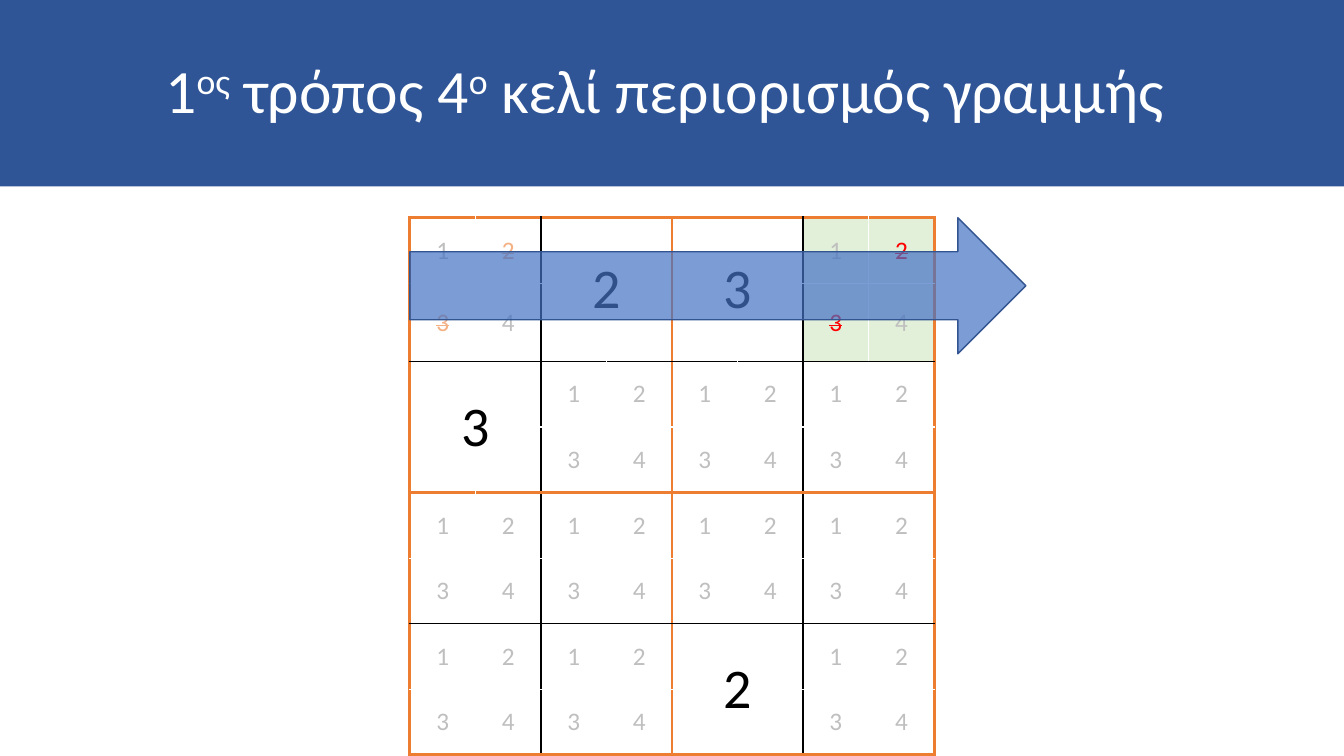
from dataclasses import dataclass

from lxml import etree
from pptx import Presentation
from pptx import util as u
from pptx.dml.color import RGBColor
from pptx.enum import shapes, text
from pptx.oxml import ns


@dataclass
class Theme:
    font: str = "Calibri"
    title_size: float = 44
    solved_size: float = 40
    candidate_size: float = 18
    banner: str = "2F5597"
    white: str = "FFFFFF"
    black: str = "000000"
    box: str = "ED7D31"
    candidate: str = "BFBFBF"
    struck_before: str = "F4B183"
    struck_now: str = "FF0000"
    target: str = "E2F0D9"
    arrow: str = "4472C4"
    arrow_line: str = "325491"


def style_run(run, size, color, **attributes):
    run.font.name = theme.font
    run.font.size = u.Pt(size)
    run.font.color.rgb = RGBColor.from_string(color)
    for name, value in attributes.items():
        run.font._element.set(name, value)


def add_border(cell, side, edge):
    if edge % 4 == 0:
        color, width = theme.box, 2.25
    else:
        color, width = (theme.white if edge % 2 else theme.black), 1
    line = etree.SubElement(cell._tc.get_or_add_tcPr(), ns.qn(f"a:ln{side}"), w=str(u.Pt(width)))
    fill = etree.SubElement(line, ns.qn("a:solidFill"))
    etree.SubElement(fill, ns.qn("a:srgbClr"), val=color)


theme = Theme()
presentation = Presentation()
presentation.slide_width = u.Inches(13.33)
presentation.slide_height = u.Inches(7.5)
slide = presentation.slides.add_slide(presentation.slide_layouts[6])

unit = u.Inches(0.65)
grid_size = 8
grid_left = (presentation.slide_width - grid_size * unit) // 2
grid_top = u.Inches(2.16)

banner = slide.shapes.add_shape(
    shapes.MSO_SHAPE.RECTANGLE, 0, 0, presentation.slide_width, u.Inches(1.85))
banner.shadow.inherit = False
banner.fill.solid()
banner.fill.fore_color.rgb = RGBColor.from_string(theme.banner)
banner.line.fill.background()
banner.text_frame.word_wrap = True
banner.text_frame.vertical_anchor = text.MSO_ANCHOR.MIDDLE
paragraph = banner.text_frame.paragraphs[0]
paragraph.alignment = text.PP_ALIGN.CENTER
paragraph.line_spacing = 0.9
title_parts = ["1", "ος", " τρόπος 4", "ο", " κελί περιορισμός γραμμής "]
for index, part in enumerate(title_parts):
    run = paragraph.add_run()
    run.text = part
    style_run(run, theme.title_size, theme.white, baseline="30000" if index % 2 else "0")

solved = {(0, 2): "2", (0, 4): "3", (2, 0): "3", (6, 4): "2"}
struck = {(0, 1): theme.struck_before, (1, 0): theme.struck_before,
          (0, 7): theme.struck_now, (1, 6): theme.struck_now}

table = slide.shapes.add_table(
    grid_size, grid_size, grid_left, grid_top, grid_size * unit, grid_size * unit).table
table.first_row = False
table.horz_banding = False
for index in range(grid_size):
    table.columns[index].width = unit
    table.rows[index].height = unit
table.rows[1].height = u.Inches(0.77)

for row, column in solved:
    table.cell(row, column).merge(table.cell(row + 1, column + 1))

for row in range(grid_size):
    for column in range(grid_size):
        cell = table.cell(row, column)
        span = 2 if cell.is_merge_origin else 1
        edges = {"L": column, "R": column + span, "T": row, "B": row + span}
        for side, edge in edges.items():
            if not (cell.is_spanned and edge % 2):
                add_border(cell, side, edge)
        if row < 2 and column >= 6:
            cell.fill.solid()
            cell.fill.fore_color.rgb = RGBColor.from_string(theme.target)
        else:
            cell.fill.background()
        if cell.is_spanned:
            continue
        cell.vertical_anchor = text.MSO_ANCHOR.MIDDLE
        paragraph = cell.text_frame.paragraphs[0]
        paragraph.alignment = text.PP_ALIGN.CENTER
        position = (row, column)
        paragraph.text = solved.get(position, str(row % 2 * 2 + column % 2 + 1))
        run = paragraph.runs[0]
        if position in solved:
            style_run(run, theme.solved_size, theme.black)
        elif position in struck:
            style_run(run, theme.candidate_size, struck[position], strike="sngStrike")
        else:
            style_run(run, theme.candidate_size, theme.candidate)

arrow = slide.shapes.add_shape(
    shapes.MSO_SHAPE.RIGHT_ARROW, grid_left, grid_top, u.Inches(6.11), u.Inches(1.35))
arrow.shadow.inherit = False
arrow.fill.solid()
arrow.fill.fore_color.rgb = RGBColor.from_string(theme.arrow)
arrow_color = arrow._element.spPr.find(ns.qn("a:solidFill")).find(ns.qn("a:srgbClr"))
etree.SubElement(arrow_color, ns.qn("a:alpha"), val="70000")
arrow.line.color.rgb = RGBColor.from_string(theme.arrow_line)
arrow.line.width = u.Pt(1)

presentation.save("out.pptx")
